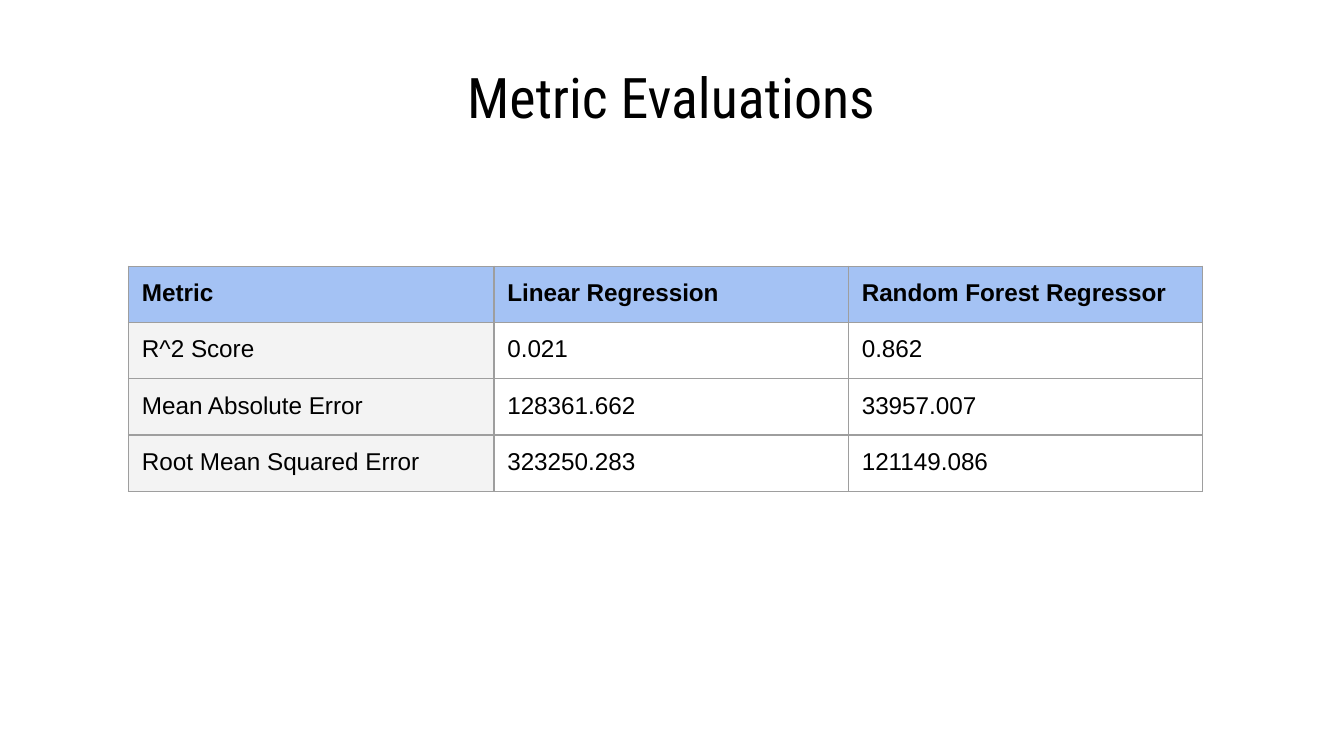
from lxml import etree
from pptx import Presentation
from pptx.dml.color import RGBColor
from pptx.enum.text import MSO_ANCHOR, PP_ALIGN
from pptx.oxml.ns import qn
from pptx.util import Pt

PX = 5715  # 160 px to the inch
MIDDLE = MSO_ANCHOR.MIDDLE
CENTER = PP_ALIGN.CENTER
INSET = 16
BLACK, GREY, BLUE, PALE = "000000", "9E9E9E", "A4C2F4", "F3F3F3"

ROWS = [
    ["Metric", "Linear Regression", "Random Forest Regressor"],
    ["R^2 Score", "0.021", "0.862"],
    ["Mean Absolute Error", "128361.662", "33957.007"],
    ["Root Mean Squared Error", "323250.283", "121149.086"],
]


def px(n):
    return n * PX


def rgb(color):
    return RGBColor.from_string(color)


def set_insets(frame):
    """Works for text frames and table cells alike."""
    frame.margin_left = frame.margin_right = px(INSET)
    frame.margin_top = frame.margin_bottom = px(INSET)


def add_run(p, text, font, size, bold=False):
    r = p.add_run()
    r.text = text
    r.font.name = font
    r.font.size = Pt(size)
    r.font.bold = bold
    r.font.color.rgb = rgb(BLACK)


def set_borders(cell, color, width):
    tcPr = cell._tc.get_or_add_tcPr()
    for side in ("a:lnL", "a:lnR", "a:lnT", "a:lnB"):
        ln = etree.SubElement(tcPr, qn(side), w=str(Pt(width)))
        fill = etree.SubElement(ln, qn("a:solidFill"))
        etree.SubElement(fill, qn("a:srgbClr"), val=color)


def set_title(s, text, x, y, w, h):
    sp = s.shapes.title
    sp.left, sp.top, sp.width, sp.height = px(x), px(y), px(w), px(h)
    tf = sp.text_frame
    tf.word_wrap = True
    tf.vertical_anchor = MIDDLE
    set_insets(tf)
    p = tf.paragraphs[0]
    p.alignment = CENTER
    add_run(p, text, "Roboto Condensed", 30)


def add_metric_table(s, rows, x, y, col_widths, row_h):
    table = s.shapes.add_table(
        len(rows), len(col_widths), px(x), px(y),
        px(sum(col_widths)), px(row_h * len(rows))).table
    table.horz_banding = False
    for column, width in zip(table.columns, col_widths):
        column.width = px(width)
    for i, values in enumerate(rows):
        table.rows[i].height = px(row_h)
        for j, value in enumerate(values):
            cell = table.cell(i, j)
            set_insets(cell)
            set_borders(cell, GREY, 0.75)
            if i == 0 or j == 0:
                cell.fill.solid()
                cell.fill.fore_color.rgb = rgb(BLUE if i == 0 else PALE)
            else:
                cell.fill.background()
            add_run(cell.text_frame.paragraphs[0], value, "Arial", 13, i == 0)


def main():
    prs = Presentation()
    prs.slide_width, prs.slide_height = px(1600), px(900)
    s = prs.slides.add_slide(prs.slide_layouts[5])
    set_title(s, "Metric Evaluations", 80, 72, 1438, 85)
    add_metric_table(s, ROWS, 153, 317, [435, 422, 422], 67)
    prs.save("out.pptx")


if __name__ == "__main__":
    main()
